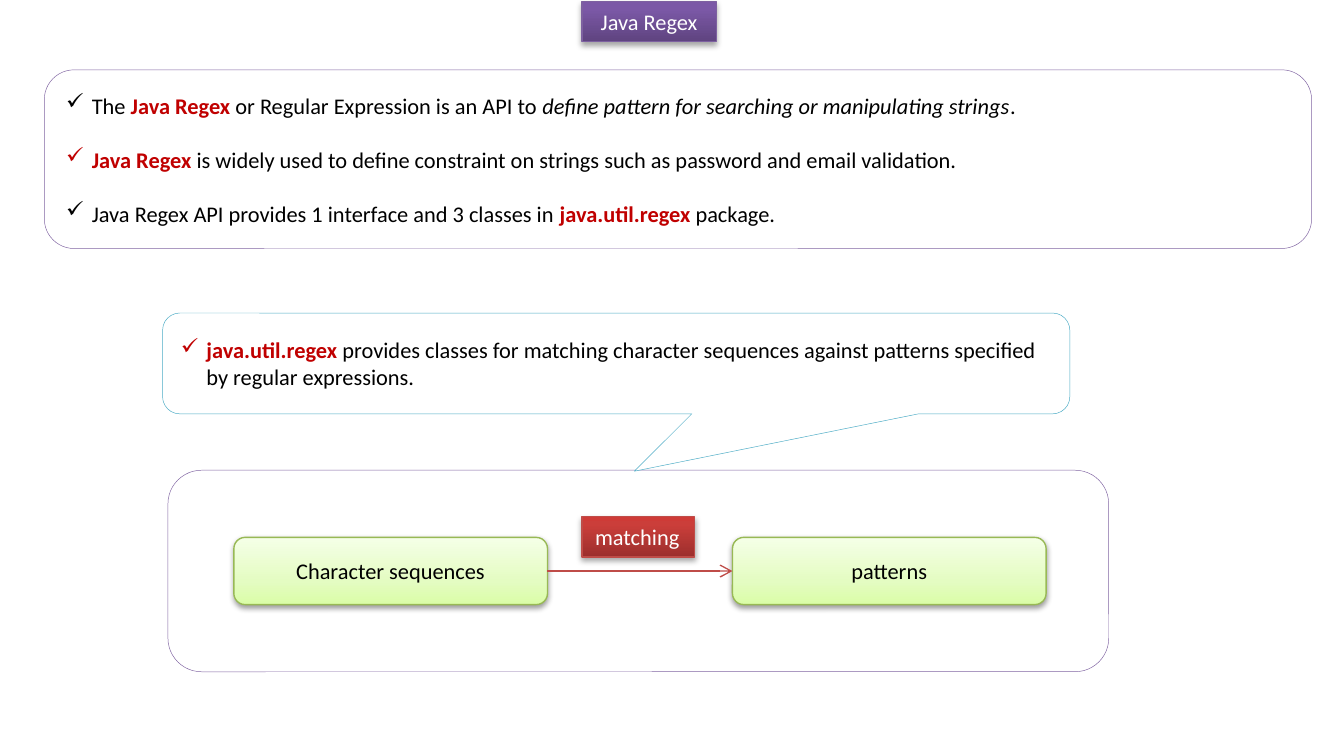
from copy import deepcopy

from lxml import etree
from pptx import Presentation
from pptx.dml.color import RGBColor
from pptx.enum.shapes import MSO_CONNECTOR, MSO_SHAPE
from pptx.enum.text import MSO_ANCHOR, PP_ALIGN
from pptx.oxml.ns import qn
from pptx.util import Inches, Pt

RECT = MSO_SHAPE.RECTANGLE
ROUND = MSO_SHAPE.ROUNDED_RECTANGLE
BUBBLE = MSO_SHAPE.ROUNDED_RECTANGULAR_CALLOUT
LINE = MSO_CONNECTOR.STRAIGHT
MIDDLE = MSO_ANCHOR.MIDDLE
LEFT, CENTER = PP_ALIGN.LEFT, PP_ALIGN.CENTER

BLACK = RGBColor(0x00, 0x00, 0x00)
WHITE = RGBColor(0xFF, 0xFF, 0xFF)
CRIMSON = RGBColor(0xC0, 0x00, 0x00)
PURPLE = RGBColor(0x80, 0x64, 0xA2)
PLUM = RGBColor(0x7D, 0x60, 0xA0)
TEAL = RGBColor(0x4B, 0xAC, 0xC6)
RED = RGBColor(0xBF, 0x4C, 0x48)
GREEN = RGBColor(0x98, 0xB9, 0x55)

# Gradient stops, from bottom to top
PLUM_FADE = ((0, RGBColor(0x5F, 0x44, 0x80)), (0.8, RGBColor(0x7B, 0x58, 0xA6)),
             (1, RGBColor(0x7C, 0x57, 0xA8)))
RED_FADE = ((0, RGBColor(0x9C, 0x2F, 0x2D)), (0.8, RGBColor(0xCB, 0x3E, 0x3A)),
            (1, RGBColor(0xCE, 0x3B, 0x37)))
GREEN_FADE = ((0, RGBColor(0xDA, 0xFD, 0xA7)), (0.35, RGBColor(0xE4, 0xFC, 0xC2)),
              (1, RGBColor(0xF5, 0xFF, 0xE7)))

WIDE, HIGH = 10, 5.5
INDENT = Inches(0.19)

# Run styles: colour, bold, italic
PLAIN = (BLACK, False, False)
KEY = (CRIMSON, True, False)
SLANT = (BLACK, False, True)

FACTS = (
    (("The ", PLAIN), ("Java Regex", KEY),
     (" or Regular Expression is an API to ", PLAIN),
     ("define pattern for searching or manipulating strings", SLANT), (".", PLAIN)),
    (("Java Regex ", KEY),
     ("is widely used to define constraint on strings such as password "
      "and email validation.", PLAIN)),
    (("Java Regex API provides 1 interface and 3 classes in ", PLAIN),
     ("java.util.regex", KEY), (" package.", PLAIN)),
)
USE = (
    (("java.util.regex ", KEY),
     ("provides classes for matching character sequences against patterns "
      "specified by regular expressions.", PLAIN)),
)


def part(box, x, y, w, h):
    """Return the box that takes the given shares of another box."""
    left, top, wide, high = box
    return left + x * wide, top + y * high, w * wide, h * high


def add_run(para, text, style):
    run = para.add_run()
    run.text = text
    font = run.font
    font.name, font.size = "Calibri", Pt(12)
    font.color.rgb, font.bold, font.italic = style


def add_box(slide, kind, box, edge, width):
    shape = slide.shapes.add_shape(kind, *(Inches(v) for v in box))
    shape.shadow.inherit = False
    shape.fill.solid()
    shape.fill.fore_color.rgb = WHITE
    shape.line.color.rgb = edge
    shape.line.width = Pt(width)
    shape.text_frame.vertical_anchor = MIDDLE
    return shape


def add_glow(shape, fade, alpha, dist):
    """Give a shape a vertical gradient and a soft shadow below."""
    fill = shape.fill
    fill.gradient()
    fill.gradient_angle = 90
    stops = shape._element.spPr.find(qn("a:gradFill")).find(qn("a:gsLst"))
    stops.append(deepcopy(stops[-1]))
    for stop, (place, color) in zip(fill.gradient_stops, fade):
        stop.position = place
        stop.color.rgb = color
    effects = shape._element.spPr.find(qn("a:effectLst"))
    shadow = etree.SubElement(effects, qn("a:outerShdw"), blurRad=str(Pt(3.1)),
                              dist=str(Pt(dist)), dir="5400000", rotWithShape="0")
    tint = etree.SubElement(shadow, qn("a:srgbClr"), val="000000")
    etree.SubElement(tint, qn("a:alpha"), val=str(alpha * 1000))


def add_list(shape, items):
    """Write check-marked paragraphs into a shape."""
    frame = shape.text_frame
    frame.word_wrap = True
    for i, runs in enumerate(items):
        para = frame.add_paragraph() if i else frame.paragraphs[0]
        props = para._p.get_or_add_pPr()
        props.set("marL", str(INDENT))
        props.set("indent", str(-INDENT))
        etree.SubElement(props, qn("a:buChar"), char="✓")
        para.alignment = LEFT
        if i:
            para.space_before = Pt(14.5)
        for text, style in runs:
            add_run(para, text, style)


def add_tag(slide, box, text, edge, fade, align, wrap):
    tag = add_box(slide, RECT, box, edge, 0.75)
    add_glow(tag, fade, 35, 1.8)
    tag.text_frame.word_wrap = wrap
    para = tag.text_frame.paragraphs[0]
    para.alignment = align
    add_run(para, text, (WHITE, False, False))


def add_node(slide, box, text):
    node = add_box(slide, ROUND, box, GREEN, 0.75)
    add_glow(node, GREEN_FADE, 38, 1.6)
    para = node.text_frame.paragraphs[0]
    para.alignment = CENTER
    add_run(para, text, PLAIN)
    return node


def add_arrow(slide, start, end):
    arrow = slide.shapes.add_connector(LINE, 0, 0, 0, 0)
    arrow.begin_connect(start, 3)
    arrow.end_connect(end, 1)
    arrow.line.color.rgb = RED
    arrow.line.width = Pt(0.75)
    etree.SubElement(arrow.line._get_or_add_ln(), qn("a:tailEnd"), type="arrow")
    etree.SubElement(arrow._element.spPr, qn("a:effectLst"))


def add_facts(slide, box):
    add_list(add_box(slide, ROUND, box, PURPLE, 0.25), FACTS)


def add_flow(slide, box):
    """Draw the panel with two nodes, the arrow and its tag."""
    add_box(slide, ROUND, box, PURPLE, 0.25)
    start, end = (add_node(slide, part(box, x, 1 / 3, 1 / 3, 1 / 3), text)
                  for x, text in ((0.07, "Character sequences"), (0.6, "patterns")))
    add_arrow(slide, start, end)
    add_tag(slide, part(box, 0.44, 0.23, 0.12, 0.2), "matching",
            RED, RED_FADE, LEFT, False)


def add_note(slide, box):
    note = add_box(slide, BUBBLE, box, TEAL, 0.25)
    for i, value in enumerate((0.02, 1.07, 0.17)):
        note.adjustments[i] = value
    add_list(note, USE)


def main():
    deck = Presentation()
    deck.slide_width, deck.slide_height = Inches(WIDE), Inches(HIGH)
    slide = deck.slides.add_slide(deck.slide_layouts[6])
    # Title, facts, flow panel and the callout that points at it
    add_tag(slide, (4.33, 0.01, 1, 0.3), "Java Regex", PLUM, PLUM_FADE, CENTER, True)
    add_facts(slide, (0.33, 0.52, 9.43, 1.33))
    add_flow(slide, (1.25, 3.5, 7, 1.5))
    add_note(slide, (1.21, 2.33, 6.75, 0.75))
    deck.save("out.pptx")


if __name__ == "__main__":
    main()
